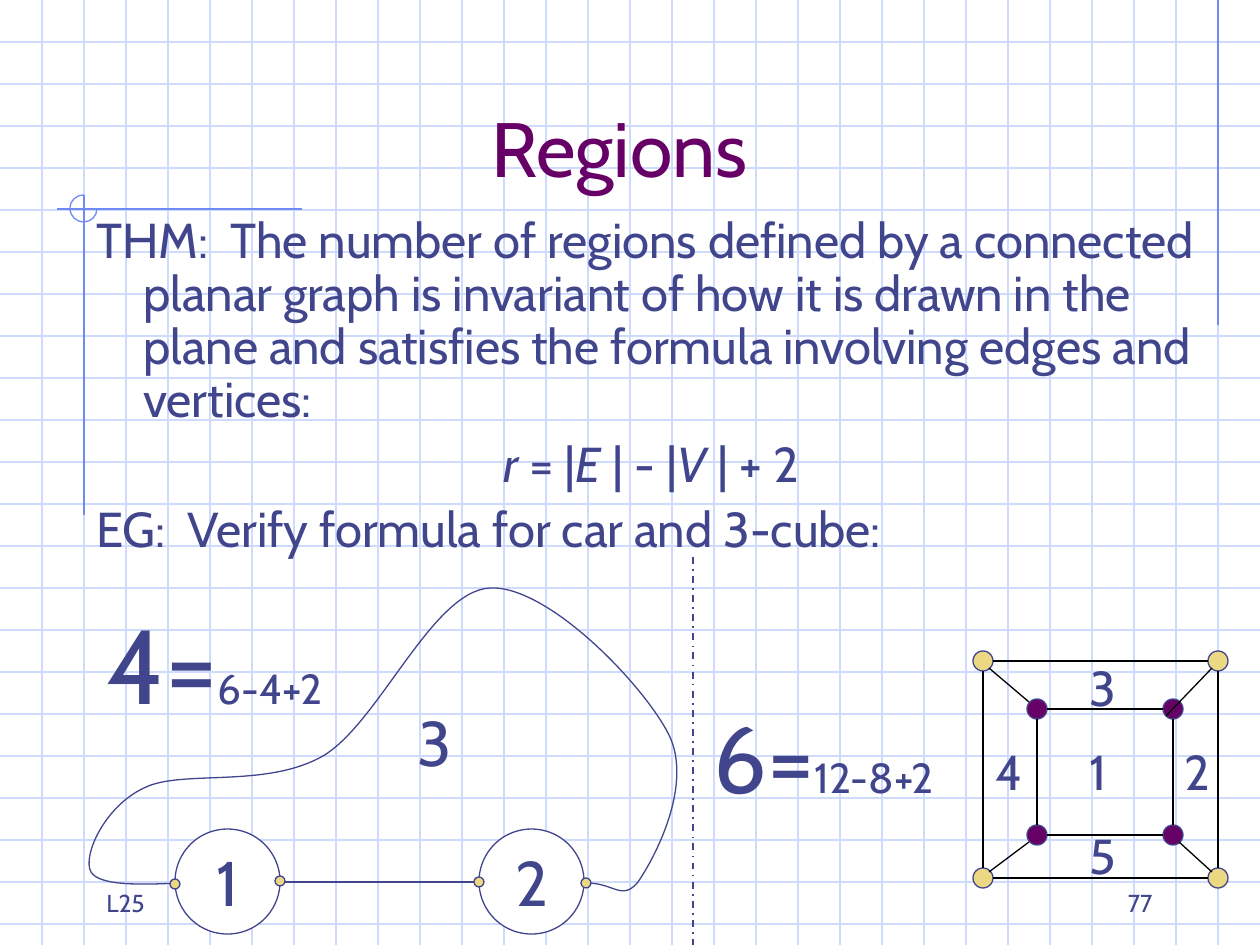
from typing import NamedTuple

from lxml.etree import SubElement
from pptx import Presentation
from pptx.dml.color import RGBColor
from pptx.enum.dml import MSO_LINE
from pptx.enum.shapes import MSO_CONNECTOR, MSO_SHAPE
from pptx.enum.text import MSO_ANCHOR, MSO_AUTO_SIZE, PP_ALIGN
from pptx.oxml.ns import qn
from pptx.util import Emu, Pt

SCALE = 914400 / 126
WIDTH, HEIGHT, GRID_STEP = 1260, 945, 42
FONT = "Cabin"
WHITE = RGBColor(0xFF, 0xFF, 0xFF)
BLACK = RGBColor(0x00, 0x00, 0x00)
INDIGO = RGBColor(0x40, 0x45, 0x8C)
PURPLE = RGBColor(0x66, 0x00, 0x66)
GOLD = RGBColor(0xEC, 0xD8, 0x82)
GRID_BLUE = RGBColor(0xCF, 0xDB, 0xFD)
RULE_BLUE = RGBColor(0x6F, 0x89, 0xF7)


class Box(NamedTuple):
    left: int
    top: int
    width: int
    height: int


class Segment(NamedTuple):
    x1: int
    y1: int
    x2: int
    y2: int


class Bezier(NamedTuple):
    control1: tuple
    control2: tuple
    end: tuple


class Label(NamedTuple):
    box: Box
    text: str
    size: int


class Count(NamedTuple):
    box: Box
    regions: str
    size: int
    formula: str


class Circle(NamedTuple):
    left: int
    top: int
    diameter: int
    fill: RGBColor
    text: str = ""


def px(value: float) -> Emu:
    return Emu(round(value * SCALE))


def set_font(font, size: int, color: RGBColor = INDIGO) -> None:
    font.name = FONT
    font.size = Pt(size)
    font.color.rgb = color


def draw_line(target, segment: Segment, color: RGBColor, width: float = 0.75):
    line = target.shapes.add_connector(MSO_CONNECTOR.STRAIGHT, *map(px, segment))
    line.line.color.rgb = color
    line.line.width = Pt(width)
    SubElement(line._element.spPr, qn("a:effectLst"))
    return line


def draw_curve(target, start: tuple, curves: list[Bezier], color: RGBColor) -> None:
    builder = target.shapes.build_freeform(px(start[0]), px(start[1]))
    points = [(px(x), px(y)) for curve in curves for x, y in curve]
    builder.add_line_segments(points, close=False)
    shape = builder.convert_to_shape()
    outline = next(shape._element.iter(qn("a:path")))
    corners = outline.findall(qn("a:lnTo"))
    for first in range(0, len(corners), 3):
        cubic = SubElement(outline, qn("a:cubicBezTo"))
        for corner in corners[first:first + 3]:
            cubic.append(corner[0])
            outline.remove(corner)
    shape.shadow.inherit = False
    shape.fill.background()
    shape.line.color.rgb = color
    shape.line.width = Pt(0.75)


def draw_circle(page, circle: Circle) -> None:
    bounds = Box(circle.left, circle.top, circle.diameter, circle.diameter)
    shape = page.shapes.add_shape(MSO_SHAPE.OVAL, *map(px, bounds))
    shape.shadow.inherit = False
    shape.fill.solid()
    shape.fill.fore_color.rgb = circle.fill
    shape.line.color.rgb = INDIGO
    shape.line.width = Pt(0.75)
    if circle.text:
        shape.text_frame.word_wrap = False
        shape.text_frame.vertical_anchor = MSO_ANCHOR.MIDDLE
        para = shape.text_frame.paragraphs[0]
        para.text = circle.text
        para.alignment = PP_ALIGN.CENTER
        set_font(para.font, 36)


def add_frame(page, box: Box, wrap: bool):
    frame = page.shapes.add_textbox(*map(px, box)).text_frame
    frame.word_wrap = wrap
    frame.auto_size = MSO_AUTO_SIZE.NONE if wrap else MSO_AUTO_SIZE.SHAPE_TO_FIT_TEXT
    return frame


def draw_label(page, label: Label) -> None:
    para = add_frame(page, label.box, False).paragraphs[0]
    para.text = label.text
    set_font(para.font, label.size)


def draw_count(page, count: Count) -> None:
    para = add_frame(page, count.box, False).paragraphs[0]
    for text, size in ((count.regions, count.size), (count.formula, 24)):
        span = para.add_run()
        span.text = text
        set_font(span.font, size)


def draw_footer(page, left: int, text: str, alignment: PP_ALIGN) -> None:
    frame = add_frame(page, Box(left, 861, 262, 63), True)
    frame.vertical_anchor = MSO_ANCHOR.BOTTOM
    para = frame.paragraphs[0]
    para.text = text
    para.alignment = alignment
    set_font(para.font, 14)


def draw_background(deck, page) -> None:
    group = page.shapes.add_group_shape()
    for y in range(GRID_STEP, HEIGHT, GRID_STEP):
        draw_line(group, Segment(0, y, WIDTH, y), GRID_BLUE)
    for x in range(GRID_STEP, WIDTH - GRID_STEP + 1, GRID_STEP):
        draw_line(group, Segment(x, 0, x, HEIGHT), GRID_BLUE)
    for rule in (Segment(1218, 0, 1218, 325), Segment(302, 209, 57, 209),
                 Segment(84, 195, 84, 515)):
        draw_line(group, rule, RULE_BLUE)
    draw_curve(group, (84, 195), [
        Bezier((76, 195), (70, 201), (70, 208)),
        Bezier((70, 216), (76, 222), (84, 222)),
        Bezier((91, 222), (97, 216), (97, 209))], RULE_BLUE)
    deck.slide_master.shapes._spTree.insert(2, group._element)


def draw_title(page) -> None:
    title = page.shapes.title
    title.left, title.top, title.width, title.height = map(px, Box(84, 42, 1071, 157))
    frame = title.text_frame
    frame.auto_size = MSO_AUTO_SIZE.NONE
    frame.vertical_anchor = MSO_ANCHOR.BOTTOM
    para = frame.paragraphs[0]
    para.text = "Regions"
    para.alignment = PP_ALIGN.CENTER
    set_font(para.font, 44, PURPLE)


def draw_theorem(page) -> None:
    frame = add_frame(page, Box(84, 210, 1134, 357), True)
    theorem = ("THM:  The number of regions defined by a connected planar graph is invariant of "
               "how it is drawn in the plane and satisfies the formula involving edges and vertices:")
    formula = ("r", " = |", "E ", "| - |", "V ", "| + 2")
    for index, texts in enumerate(((theorem,), formula,
                                   ("EG:  Verify formula for car and 3-cube:",))):
        para = frame.add_paragraph() if index else frame.paragraphs[0]
        properties = para._p.get_or_add_pPr()
        properties.set("marL", str(px(47)))
        properties.set("indent", str(px(-47)))
        para.line_spacing = 0.9
        para.space_before = Pt(7 if index else 0)
        set_font(para.font, 28)
        for position, text in enumerate(texts):
            span = para.add_run()
            span.text = text
            if texts is formula:
                span.font.italic = position % 2 == 0
        if texts is formula:
            para.alignment = PP_ALIGN.CENTER


def draw_cube(page) -> None:
    for left, top, text in ((1077, 735, "1"), (1172, 735, "2"), (1077, 651, "3"),
                            (983, 735, "4"), (1077, 819, "5")):
        draw_label(page, Label(Box(left, top, 53, 72), text, 28))
    draw_count(page, Count(Box(701, 693, 267, 126), "6=", 54, "12-8+2"))
    for columns, rows, fill in (((973, 1208), (651, 868), GOLD),
                                ((1027, 1163), (699, 825), PURPLE)):
        for left in columns:
            for top in rows:
                draw_circle(page, Circle(left, top, 20, fill))
        (left, right), (top, bottom) = columns, rows
        for y in rows:
            draw_line(page, Segment(left + 20, y + 10, right, y + 10), BLACK)
        for x in columns:
            draw_line(page, Segment(x + 10, top + 20, x + 10, bottom), BLACK)
    for spoke in (Segment(1029, 702, 989, 668), Segment(1166, 716, 1212, 668),
                  Segment(1179, 842, 1212, 872), Segment(1029, 842, 989, 872)):
        draw_line(page, spoke, BLACK)


def draw_car(page) -> None:
    draw_curve(page, (197, 882), [
        Bezier((147, 885), (100, 887), (91, 872)),
        Bezier((82, 856), (105, 806), (144, 788)),
        Bezier((181, 769), (265, 789), (323, 756)),
        Bezier((379, 723), (432, 591), (490, 588)),
        Bezier((548, 585), (644, 685), (669, 735)),
        Bezier((693, 784), (656, 856), (638, 882)),
        Bezier((617, 908), (609, 866), (553, 892))], INDIGO)
    draw_line(page, Segment(260, 882, 490, 882), INDIGO)
    for left, text in ((479, "2"), (175, "1")):
        draw_circle(page, Circle(left, 829, 105, WHITE, text))
    for left, top in ((474, 877), (275, 876), (581, 878), (170, 879)):
        draw_circle(page, Circle(left, top, 10, GOLD))
    draw_label(page, Label(Box(405, 697, 60, 88), "3", 36))
    draw_count(page, Count(Box(94, 593, 255, 139), "4=", 60, "6-4+2"))


def main() -> None:
    deck = Presentation()
    deck.slide_width, deck.slide_height = px(WIDTH), px(HEIGHT)
    page = deck.slides.add_slide(deck.slide_layouts[5])
    draw_background(deck, page)
    draw_footer(page, 94, "L25", PP_ALIGN.LEFT)
    draw_footer(page, 903, "77", PP_ALIGN.RIGHT)
    draw_title(page)
    draw_theorem(page)
    draw_cube(page)
    draw_car(page)
    divider = draw_line(page, Segment(693, 557, 693, HEIGHT), INDIGO, 1)
    divider.line.dash_style = MSO_LINE.DASH_DOT
    deck.save("out.pptx")


if __name__ == "__main__":
    main()
